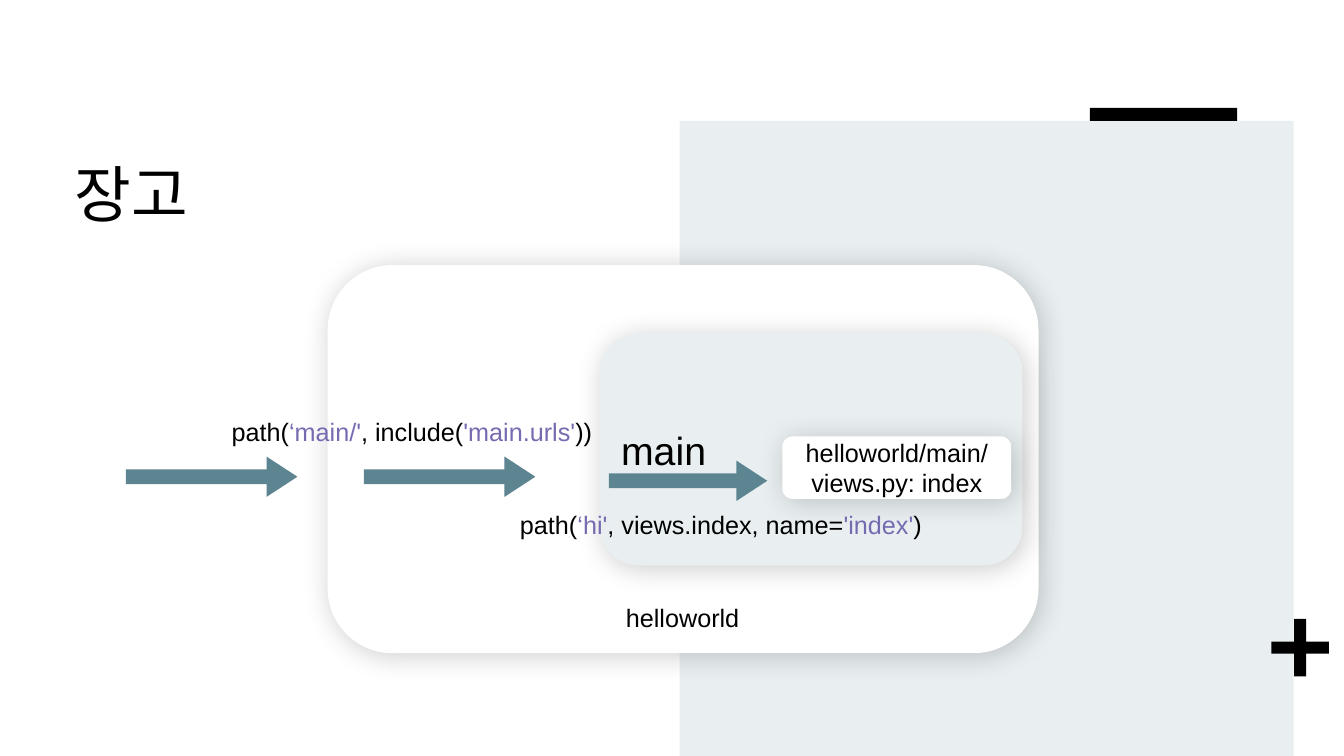
import pptx
import pptx.util
import pptx.dml.color
import pptx.enum.shapes
import pptx.enum.text
import pptx.oxml
import pptx.oxml.ns

Inches = pptx.util.Inches
Pt = pptx.util.Pt
RGBColor = pptx.dml.color.RGBColor
SHAPE = pptx.enum.shapes.MSO_SHAPE
ALIGN = pptx.enum.text.PP_ALIGN
ANCHOR = pptx.enum.text.MSO_ANCHOR

BLACK = RGBColor(0x00, 0x00, 0x00)
WHITE = RGBColor(0xFF, 0xFF, 0xFF)
MIST = RGBColor(0xE9, 0xEF, 0xF1)
TEAL = RGBColor(0x5C, 0x84, 0x91)
PURPLE = RGBColor(0x75, 0x6B, 0xB1)
FONT = "Arial"

# Content: boxes are left, top, width, height in inches
TITLE = "장고"
DECORATION = [
    (SHAPE.RECTANGLE, (6.74, 1.2, 6.09, 6.3), MIST, []),
    (SHAPE.CROSS, (12.61, 6.14, 0.57, 0.57), BLACK, [0.395]),
    (SHAPE.RECTANGLE, (10.81, 1.07, 1.46, 0.13), BLACK, []),
]
# Box, fill, text lines, text size, alignment
CARDS = [
    ((3.25, 2.63, 7.05, 3.85), WHITE, [], 18, ALIGN.CENTER),
    ((5.95, 3.31, 4.19, 2.3), MIST, ["main"], 28, ALIGN.LEFT),
    ((7.76, 4.33, 2.27, 0.62), WHITE,
     ["helloworld/main/", "views.py: index"], 18, ALIGN.CENTER),
]
# Left, top, width
ARROWS = [(1.25, 4.53, 1.7), (3.61, 4.53, 1.7), (6.04, 4.57, 1.57)]
ROW_HEIGHT = 0.4
# Left, top, width, wrap, coloured pieces of text
LABELS = [
    (6.04, 5.93, 1.46, False, [("helloworld", BLACK)]),
    (2.06, 4.08, 4.05, True, [
        ("path(", BLACK), ("‘main/'", PURPLE), (", include(", BLACK),
        ("'main.urls'", PURPLE), ("))", BLACK)]),
    (4.87, 5, 4.56, True, [
        ("path(", BLACK), ("‘hi'", PURPLE), (", views.index, name=", BLACK),
        ("'index'", PURPLE), (")", BLACK)]),
]
SHADOW = (
    '<a:outerShdw %s blurRad="%d" dist="%d" dir="2700000" algn="tl" rotWithShape="0">'
    '<a:srgbClr val="000000"><a:alpha val="20000"/></a:srgbClr></a:outerShdw>'
    % (pptx.oxml.ns.nsdecls("a"), Pt(20), Pt(3))
)


def place(box):
    return [Inches(length) for length in box]


def format_run(run, size, color=BLACK):
    run.font.name = FONT
    run.font.size = Pt(size)
    run.font.color.rgb = color


def add_filled_shape(slide, kind, box, fill, adjustments=()):
    shape = slide.shapes.add_shape(kind, *place(box))
    shape.shadow.inherit = False
    shape.fill.solid()
    shape.fill.fore_color.rgb = fill
    shape.line.fill.background()
    for index, value in enumerate(adjustments):
        shape.adjustments[index] = value
    return shape


def add_card(slide, box, fill, lines, size, alignment):
    card = add_filled_shape(slide, SHAPE.ROUNDED_RECTANGLE, box, fill)
    effects = card._element.spPr.find(pptx.oxml.ns.qn("a:effectLst"))
    effects.append(pptx.oxml.parse_xml(SHADOW))
    if not lines:
        return
    text_frame = card.text_frame
    text_frame.text = "\n".join(lines)
    text_frame.vertical_anchor = ANCHOR.MIDDLE
    for paragraph in text_frame.paragraphs:
        paragraph.alignment = alignment
        format_run(paragraph.runs[0], size)


def add_label(slide, left, top, width, wrap, pieces):
    label = slide.shapes.add_textbox(*place((left, top, width, ROW_HEIGHT)))
    label.text_frame.word_wrap = wrap
    paragraph = label.text_frame.paragraphs[0]
    paragraph.alignment = ALIGN.CENTER
    for text, color in pieces:
        run = paragraph.add_run()
        run.text = text
        format_run(run, 18, color)


def set_title(title):
    title.left, title.top, title.width, title.height = place((0.62, 1.32, 9.04, 1.58))
    text_frame = title.text_frame
    text_frame.text = TITLE
    text_frame.word_wrap = True
    text_frame.vertical_anchor = ANCHOR.TOP
    text_frame.margin_left = text_frame.margin_right = Inches(0.12)
    text_frame.margin_top = Inches(0.12)
    text_frame.margin_bottom = Inches(0.1)
    paragraph = text_frame.paragraphs[0]
    paragraph.alignment = ALIGN.LEFT
    paragraph.line_spacing = 1.14
    run = paragraph.runs[0]
    format_run(run, 44)
    run._r.get_or_add_rPr().set("spc", "50")


def main():
    presentation = pptx.Presentation()
    presentation.slide_width = Inches(13.33)
    presentation.slide_height = Inches(7.5)
    slide = presentation.slides.add_slide(presentation.slide_layouts[5])
    set_title(slide.shapes.title)

    # Background panel and accents
    for kind, box, fill, adjustments in DECORATION:
        add_filled_shape(slide, kind, box, fill, adjustments)

    # Nested project, app and view
    for card in CARDS:
        add_card(slide, *card)

    # Request flow and its routes
    for left, top, width in ARROWS:
        add_filled_shape(slide, SHAPE.RIGHT_ARROW, (left, top, width, ROW_HEIGHT),
                         TEAL, [0.368, 0.764])
    for label in LABELS:
        add_label(slide, *label)

    presentation.save("out.pptx")


if __name__ == "__main__":
    main()
